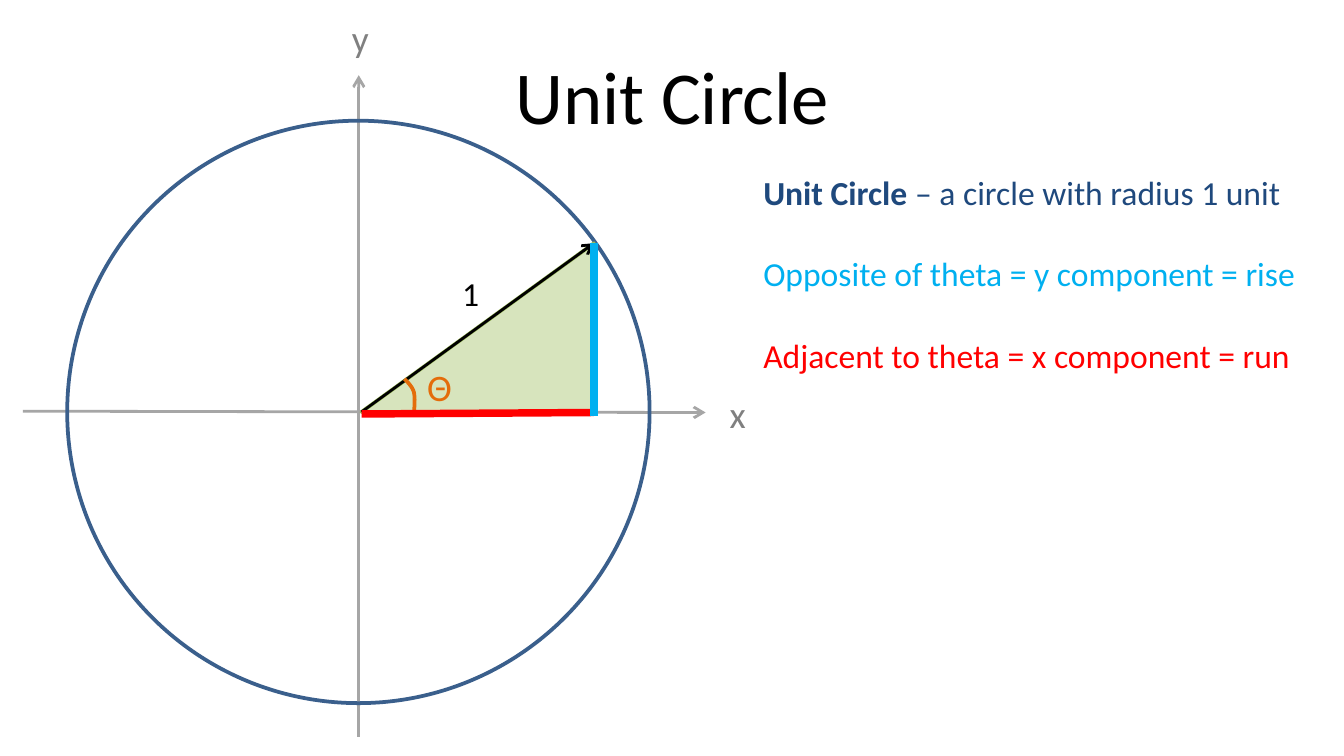
"""Build a slide that explains sine and cosine sides on the unit circle."""
import lxml.etree
import pptx
import pptx.util
import pptx.dml.color
import pptx.enum.shapes
import pptx.enum.text
import pptx.oxml.ns

Pt = pptx.util.Pt
qn = pptx.oxml.ns.qn
THEME = {
    "font": "Calibri", "title": 40, "body": 18, "symbol": 20,
    "black": "000000", "navy": "1F497D", "cyan": "00B0F0", "red": "FF0000",
    "orange": "E46C0A", "grey": "808080", "axis": "A6A6A6", "circle": "3A5F8C",
    "area": "D7E4BD", "area edge": "9BBB59",
}
TITLE = "Unit Circle"
DEFINITIONS = [
    ("navy", [("Unit Circle ", True), ("– a circle with radius 1 unit", False)]),
    ("cyan", [("Opposite of theta = y component = rise", False)]),
    ("red", [("Adjacent to theta = x component = run", False)]),
]
LABELS = [
    ("1", (240.5, 142.6, 23.8, 29), "body", "black"),
    ("Θ", (221.8, 191.5, 28, 31.5), "symbol", "orange"),
    ("x", (383.8, 206, 23, 31.5), "symbol", "grey"),
    ("y", (181.4, 4.3, 23.8, 31.5), "symbol", "grey"),
]
CENTER, RADIUS = (192, 220.7), 156
CORNER, TIP = (193.7, 220.7), (318.2, 130.3)
AXES = [((12.2, 220.3), (378, 221)), ((192.2, 394.6), (192.2, 40.3))]
SIDES = [((193.7, 221.8), (318.2, 221), "red"), ((318.2, 223), TIP, "cyan")]
ANGLE_CURVES = [
    [(216.7, 203), (218.9, 205.2), (221, 207.4), (221.8, 210.2)],
    [(221.8, 210.2), (222.6, 214), (221.8, 221), (221.8, 221)],
]
CURVE_STEPS = 10

presentation = pptx.Presentation()
presentation.slide_width, presentation.slide_height = Pt(720), Pt(405)
slide = presentation.slides.add_slide(presentation.slide_layouts[6])
shapes = slide.shapes


def color(name):
    return pptx.dml.color.RGBColor.from_string(THEME[name])


def set_font(paragraph, size, color_name):
    paragraph.font.name = THEME["font"]
    paragraph.font.size = Pt(THEME[size])
    paragraph.font.color.rgb = color(color_name)


def add_text_box(box):
    frame = shapes.add_textbox(*map(Pt, box)).text_frame
    frame.word_wrap = False
    frame.auto_size = pptx.enum.text.MSO_AUTO_SIZE.SHAPE_TO_FIT_TEXT
    return frame


def add_label(text, box, size, color_name):
    frame = add_text_box(box)
    paragraph = frame.paragraphs[0]
    paragraph.text = text
    set_font(paragraph, size, color_name)
    return frame


def set_line(shape, color_name, width):
    shape.line.color.rgb = color(color_name)
    shape.line.width = Pt(width)


def add_line(start, end, color_name, width, arrow=False):
    connector = shapes.add_connector(
        pptx.enum.shapes.MSO_CONNECTOR.STRAIGHT, *map(Pt, start + end))
    set_line(connector, color_name, width)
    properties = connector.element.find(qn("p:spPr"))
    if arrow:
        line = properties.find(qn("a:ln"))
        lxml.etree.SubElement(line, qn("a:tailEnd"), type="arrow")
    lxml.etree.SubElement(properties, qn("a:effectLst"))


def style_shape(shape, line_color, fill_color=None):
    shape.shadow.inherit = False
    set_line(shape, line_color, 2)
    if fill_color:
        shape.fill.solid()
        shape.fill.fore_color.rgb = color(fill_color)
    else:
        shape.fill.background()


def curve_point(curve, t):
    weights = ((1 - t) ** 3, 3 * t * (1 - t) ** 2, 3 * t * t * (1 - t), t ** 3)
    return tuple(Pt(sum(w * point[axis] for w, point in zip(weights, curve)))
                 for axis in (0, 1))


title_frame = add_label(TITLE, (36, 16.6, 648, 67.7), "title", "black")
title_frame.word_wrap = True
title_frame.auto_size = pptx.enum.text.MSO_AUTO_SIZE.NONE
title_frame.vertical_anchor = pptx.enum.text.MSO_ANCHOR.MIDDLE
title_frame.paragraphs[0].alignment = pptx.enum.text.PP_ALIGN.CENTER

for start, end in AXES:
    add_line(start, end, "axis", 1.5, arrow=True)
circle = shapes.add_shape(
    pptx.enum.shapes.MSO_SHAPE.OVAL, Pt(CENTER[0] - RADIUS),
    Pt(CENTER[1] - RADIUS), Pt(2 * RADIUS), Pt(2 * RADIUS))
style_shape(circle, "circle")

definitions = add_text_box((401.8, 88.6, 303, 116.6))
for index, (color_name, runs) in enumerate(DEFINITIONS):
    paragraph = definitions.add_paragraph() if index else definitions.paragraphs[0]
    set_font(paragraph, "body", color_name)
    paragraph.space_before = Pt(22 if index else 0)
    for text, bold in runs:
        run = paragraph.add_run()
        run.text = text
        run.font.bold = bold

triangle = shapes.add_shape(
    pptx.enum.shapes.MSO_SHAPE.ISOSCELES_TRIANGLE, Pt(CORNER[0]), Pt(TIP[1]),
    Pt(TIP[0] - CORNER[0]), Pt(CORNER[1] - TIP[1]))
triangle.adjustments[0] = 1
style_shape(triangle, "area edge", "area")
add_line(CORNER, TIP, "black", 1.5, arrow=True)

builder = shapes.build_freeform(*map(Pt, ANGLE_CURVES[0][0]))
builder.add_line_segments(
    [curve_point(curve, step / CURVE_STEPS)
     for curve in ANGLE_CURVES for step in range(1, CURVE_STEPS + 1)], close=False)
style_shape(builder.convert_to_shape(), "orange")

for label in LABELS:
    add_label(*label)
for start, end, color_name in SIDES:
    add_line(start, end, color_name, 4)

presentation.save("out.pptx")
